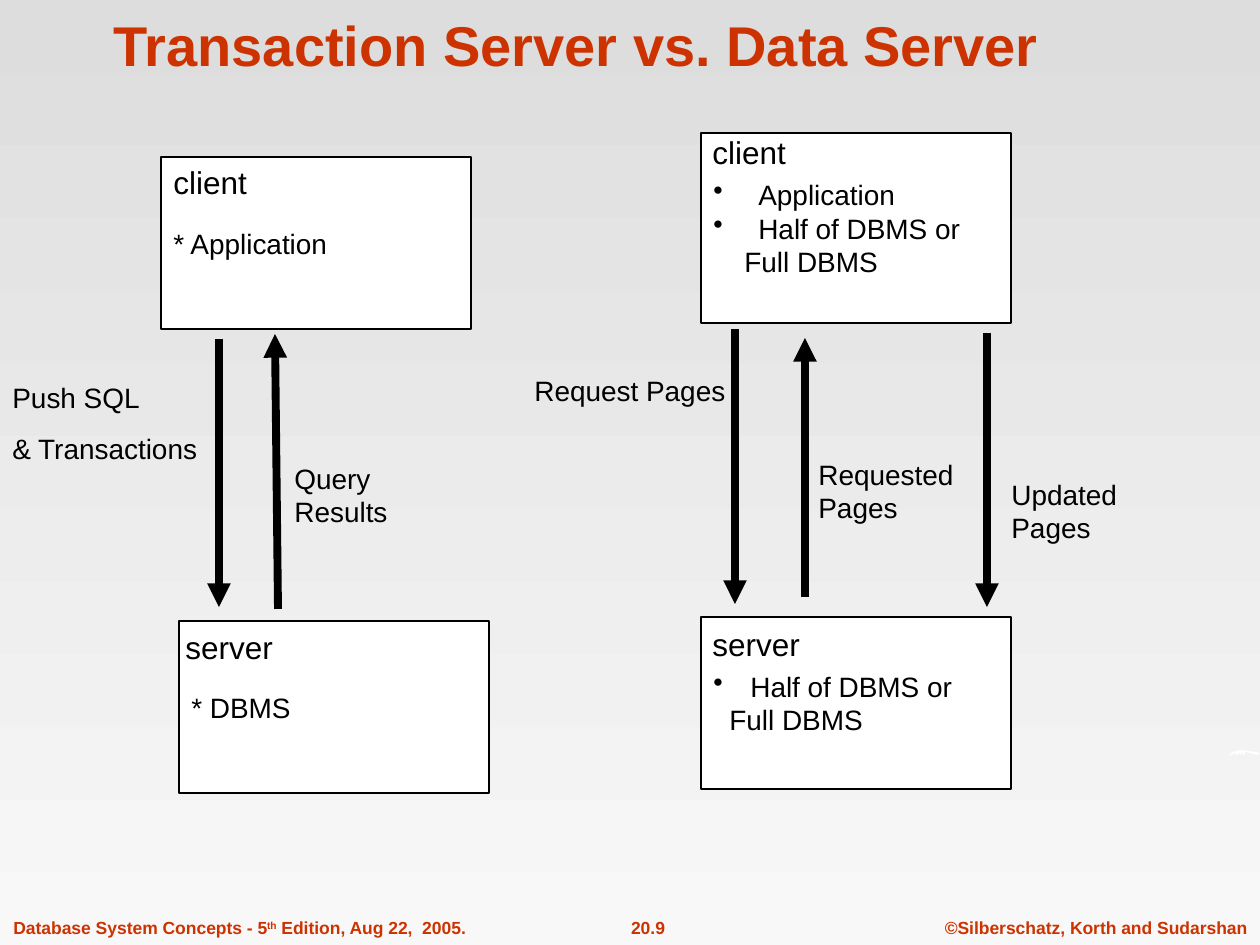
import pptx
import pptx.dml.color
import pptx.enum.shapes
import pptx.enum.text
import pptx.oxml.ns
import pptx.util
from lxml import etree

PX = 914400 / 126
COLORS = {"accent": "CC3300", "ink": "000000", "paper": "FFFFFF",
          "top": "DDDDDD", "bottom": "F8F8F8"}
ANCHOR = pptx.enum.text.MSO_ANCHOR
ALIGN = pptx.enum.text.PP_ALIGN


def px(*values):
    return [pptx.util.Emu(round(v * PX)) for v in values]


def add_text(tf, text, size=16, color="ink", bold=False, align=ALIGN.LEFT,
             anchor=ANCHOR.TOP, wrap=True, gap=0, bullet_left=0, text_left=0):
    tf.word_wrap = wrap
    tf.vertical_anchor = anchor
    tf.margin_left, tf.margin_top, tf.margin_right, tf.margin_bottom = [
        pptx.util.Inches(v) for v in (0.1, 0.05, 0.1, 0.05)]
    for i, line in enumerate(text.split("\n")):
        p = tf.add_paragraph() if i else tf.paragraphs[0]
        p.alignment = align
        if i and gap:
            p.space_before = pptx.util.Pt(gap)
        pPr = p._p.get_or_add_pPr()
        if line.startswith("•"):
            left = px(bullet_left)[0]
            pPr.set("marL", str(left))
            pPr.set("indent", str(-left))
            etree.SubElement(pPr, pptx.oxml.ns.qn("a:buChar")).set("char", "•")
        elif text_left:
            pPr.set("marL", str(px(text_left)[0]))
            pPr.set("indent", "0")
        for j, part in enumerate(line.lstrip("•").split("^")):
            r = p.add_run()
            r.text = part
            r.font.name = "Arial"
            r.font.size = pptx.util.Pt(size)
            r.font.bold = bold
            r.font.color.rgb = pptx.dml.color.RGBColor.from_string(COLORS[color])
            if j % 2:
                r._r.get_or_add_rPr().set("baseline", "30000")


prs = pptx.Presentation()
prs.slide_width, prs.slide_height = px(1260, 945)
s = prs.slides.add_slide(prs.slide_layouts[5])

fill = s.background.fill
fill.gradient()
fill.gradient_angle = 270
for stop, position, name in zip(fill.gradient_stops, (0, 1), ("top", "bottom")):
    stop.position = position
    stop.color.rgb = pptx.dml.color.RGBColor.from_string(COLORS[name])

footers = [
    (932, 328, "©Silberschatz, Korth and Sudarshan", ALIGN.CENTER),
    (581, 134, "20.9", ALIGN.CENTER),
    (1, 478, "Database System Concepts - 5^th^ Edition, Aug 22,  2005.", ALIGN.LEFT),
]
for x, w, text, align in footers:
    sp = s.shapes.add_textbox(*px(x, 911, w, 34))
    add_text(sp.text_frame, text, size=10, color="accent", bold=True,
             align=align, wrap=False)

swoosh = [(1229, 757), (1231, 753), (1235, 751), (1241, 750), (1248, 751),
          (1256, 752), (1260, 754), (1257, 755), (1250, 753), (1245, 752),
          (1244, 756), (1241, 752), (1241, 756), (1238, 752), (1238, 756),
          (1235, 753), (1231, 755)]
builder = s.shapes.build_freeform(*swoosh[0], scale=PX)
builder.add_line_segments(swoosh[1:], close=True)
sp = builder.convert_to_shape()
sp.shadow.inherit = False
sp.fill.solid()
sp.fill.fore_color.rgb = pptx.dml.color.RGBColor.from_string(COLORS["paper"])
sp.line.fill.background()

title = s.shapes.title
title.left, title.top, title.width, title.height = px(101, 0, 1113, 84)
add_text(title.text_frame, "Transaction Server vs. Data Server", size=32,
         color="accent", bold=True, anchor=ANCHOR.BOTTOM)

boxes = [
    (161, 157, 172, "* Application", 0, 0),
    (179, 621, 172, "* DBMS", 0, 0),
    (701, 617, 172, "•Half of DBMS or\nFull DBMS", 37, 16),
    (701, 133, 190, "•Application\n•Half of DBMS or\nFull DBMS", 45, 31),
]
for x, y, h, text, bullet_left, text_left in boxes:
    sp = s.shapes.add_shape(pptx.enum.shapes.MSO_SHAPE.RECTANGLE, *px(x, y, 310, h))
    sp.shadow.inherit = False
    sp.fill.solid()
    sp.fill.fore_color.rgb = pptx.dml.color.RGBColor.from_string(COLORS["paper"])
    sp.line.color.rgb = pptx.dml.color.RGBColor.from_string(COLORS["ink"])
    sp.line.width = pptx.util.Pt(0.75)
    add_text(sp.text_frame, text, anchor=ANCHOR.MIDDLE,
             bullet_left=bullet_left, text_left=text_left)

labels = [
    (161, 157, 168, 50, "client", 18),
    (700, 127, 168, 50, "client", 18),
    (173, 622, 168, 50, "server", 18),
    (700, 619, 168, 50, "server", 18),
    (0, 374, 219, 97, "Push SQL\n& Transactions", 16),
    (522, 367, 244, 47, "Request Pages", 16),
    (282, 455, 168, 81, "Query Results", 16),
    (806, 451, 168, 81, "Requested Pages", 16),
    (999, 471, 168, 81, "Updated Pages", 16),
]
for x, y, w, h, text, size in labels:
    sp = s.shapes.add_textbox(*px(x, y, w, h))
    add_text(sp.text_frame, text, size=size, gap=10)

arrows = [
    (219, 339, 219, 607, "tailEnd"),
    (275, 334, 278, 609, "headEnd"),
    (805, 338, 805, 597, "headEnd"),
    (735, 329, 735, 604, "tailEnd"),
    (987, 333, 987, 607, "tailEnd"),
]
for x1, y1, x2, y2, end in arrows:
    line = s.shapes.add_connector(pptx.enum.shapes.MSO_CONNECTOR.STRAIGHT,
                                  *px(x1, y1, x2, y2))
    line.line.color.rgb = pptx.dml.color.RGBColor.from_string(COLORS["ink"])
    line.line.width = pptx.util.Pt(4.5)
    ln = line.line._get_or_add_ln()
    etree.SubElement(ln, pptx.oxml.ns.qn("a:" + end)).set("type", "triangle")
    etree.SubElement(line._element.spPr, pptx.oxml.ns.qn("a:effectLst"))

prs.save("out.pptx")
